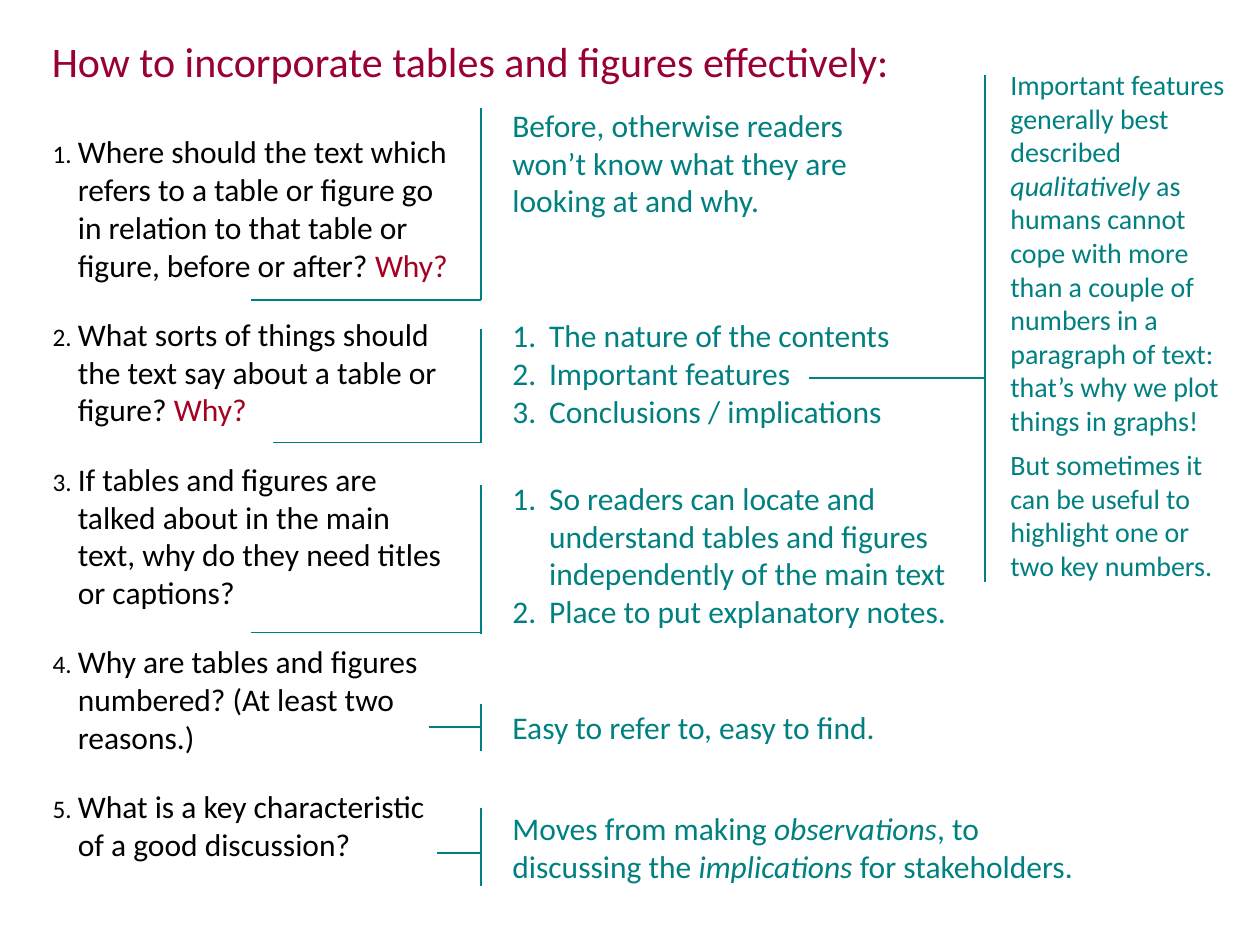
from dataclasses import dataclass

from lxml.etree import SubElement
from pptx import Presentation
from pptx.dml.color import RGBColor
from pptx.enum.shapes import MSO_CONNECTOR as Connector
from pptx.enum.text import MSO_ANCHOR as Anchor, MSO_AUTO_SIZE as AutoSize, PP_ALIGN as Align
from pptx.oxml.ns import qn
from pptx.util import Cm, Pt


@dataclass(frozen=True)
class Theme:
    font: str = "Calibri"
    title: str = "990033"
    question: str = "000000"
    why: str = "A50021"
    answer: str = "008080"
    title_size: int = 24
    body_size: int = 18
    side_size: int = 16
    number_scale: int = 80
    line_width: float = 1


@dataclass(frozen=True)
class Span:
    text: str
    colour: str = ""
    italic: bool = False


class SlideBuilder:
    def __init__(self, slide, theme):
        self.slide = slide
        self.theme = theme

    def add_spans(self, paragraph, spans, size, colour):
        for span in spans:
            run = paragraph.add_run()
            run.text = span.text
            run.font.name = self.theme.font
            run.font.size = Pt(size)
            run.font.italic = span.italic
            run.font.color.rgb = RGBColor.from_string(span.colour or colour)

    def number(self, paragraph, indent, scale, colour):
        properties = paragraph._p.get_or_add_pPr()
        properties.set("marL", str(Cm(indent)))
        properties.set("indent", str(-Cm(indent)))
        bullet_colour = SubElement(properties, qn("a:buClr"))
        SubElement(bullet_colour, qn("a:srgbClr"), val=colour)
        SubElement(properties, qn("a:buSzPct"), val=str(scale * 1000))
        SubElement(properties, qn("a:buAutoNum"), type="arabicPeriod")

    def title(self, text, left, top, width, height):
        shape = self.slide.shapes.title
        shape.left, shape.top, shape.width, shape.height = map(Cm, (left, top, width, height))
        frame = shape.text_frame
        frame.auto_size = AutoSize.NONE
        frame.vertical_anchor = Anchor.TOP
        paragraph = frame.paragraphs[0]
        paragraph.alignment = Align.LEFT
        self.add_spans(paragraph, [Span(text)], self.theme.title_size, self.theme.title)

    def text(self, paragraphs, left, top, width, height, colour, size=None,
             indent=0, scale=100, before=0, after=0):
        shape = self.slide.shapes.add_textbox(*map(Cm, (left, top, width, height)))
        frame = shape.text_frame
        frame.word_wrap = True
        frame.auto_size = AutoSize.SHAPE_TO_FIT_TEXT
        for index, spans in enumerate(paragraphs):
            paragraph = frame.add_paragraph() if index else frame.paragraphs[0]
            if indent:
                self.number(paragraph, indent, scale, colour)
            paragraph.space_before = Pt(before if index else 0)
            paragraph.space_after = Pt(after)
            self.add_spans(paragraph, spans, size or self.theme.body_size, colour)

    def bracket(self, start, level, spine, top, bottom):
        group = self.slide.shapes.add_group_shape()
        for ends in ((start, level, spine, level), (spine, top, spine, bottom)):
            line = group.shapes.add_connector(Connector.STRAIGHT, *map(Cm, ends))
            line.line.color.rgb = RGBColor.from_string(self.theme.answer)
            line.line.width = Pt(self.theme.line_width)
            SubElement(line._element.spPr, qn("a:effectLst"))


THEME = Theme()
ANSWER_LEFT = 10.08
ANSWER_SPINE = 9.7
SIDE_SPINE = 19.86

QUESTIONS = [
    [Span("Where should the text which refers to a table or figure go in relation "
          "to that table or figure, before or after? "), Span("Why?", THEME.why)],
    [Span("What sorts of things should the text say about a table or figure? "),
     Span("Why?", THEME.why)],
    [Span("If tables and figures are talked about in the main text, "
          "why do they need titles or captions?")],
    [Span("Why are tables and figures numbered? (At least two reasons.)")],
    [Span("What is a key characteristic of a good discussion?")],
]

ANSWERS = [
    (2.01, 8.76, 2.57, 0, [
        [Span("Before, otherwise readers won’t know what they are looking at and why.")]]),
    (6.25, 8.23, 2.57, 0.74, [
        [Span("The nature of the contents")],
        [Span("Important features")],
        [Span("Conclusions / implications")]]),
    (9.53, 10.03, 3.33, 0.74, [
        [Span("So readers can locate and understand tables and figures "
              "independently of the main text")],
        [Span("Place to put explanatory notes.")]]),
    (14.15, 8.76, 1.02, 0, [[Span("Easy to refer to, easy to find.")]]),
    (16.18, 11.94, 1.8, 0, [
        [Span("Moves from making "), Span("observations", italic=True),
         Span(", to discussing the "), Span("implications", italic=True),
         Span(" for stakeholders.")]]),
]

BRACKETS = [
    (5.05, 6.05, ANSWER_SPINE, 2.18, 6.05),
    (5.51, 8.92, ANSWER_SPINE, 6.63, 8.94),
    (5.05, 12.75, ANSWER_SPINE, 9.78, 12.78),
    (8.64, 14.66, ANSWER_SPINE, 14.2, 15.14),
    (8.81, 17.2, ANSWER_SPINE, 16.28, 17.86),
    (16.31, 7.62, SIDE_SPINE, 1.52, 11.73),
]

SIDE_NOTE = [
    [Span("Important features generally best described "),
     Span("qualitatively", italic=True),
     Span(" as humans cannot cope with more than a couple of numbers in a "
          "paragraph of text: that’s why we plot things in graphs!")],
    [Span("But sometimes it can be useful to highlight one or two key numbers.")],
]


def main():
    presentation = Presentation()
    presentation.slide_width, presentation.slide_height = Cm(25.4), Cm(19.05)
    slide = presentation.slides.add_slide(presentation.slide_layouts.get_by_name("Title Only"))
    builder = SlideBuilder(slide, THEME)

    builder.title("How to incorporate tables and figures effectively:", 0.79, 0.58, 24.51, 1.27)
    builder.text(QUESTIONS, 0.81, 2.54, 8.5, 15.9, THEME.question,
                 indent=0.51, scale=THEME.number_scale, before=6, after=12)
    for top, width, height, indent, paragraphs in ANSWERS:
        builder.text(paragraphs, ANSWER_LEFT, top, width, height, THEME.answer, indent=indent)
    for bracket in BRACKETS:
        builder.bracket(*bracket)
    builder.text(SIDE_NOTE, 20.12, 1.24, 4.85, 10.72, THEME.answer,
                 size=THEME.side_size, after=6)

    presentation.save("out.pptx")


if __name__ == "__main__":
    main()
